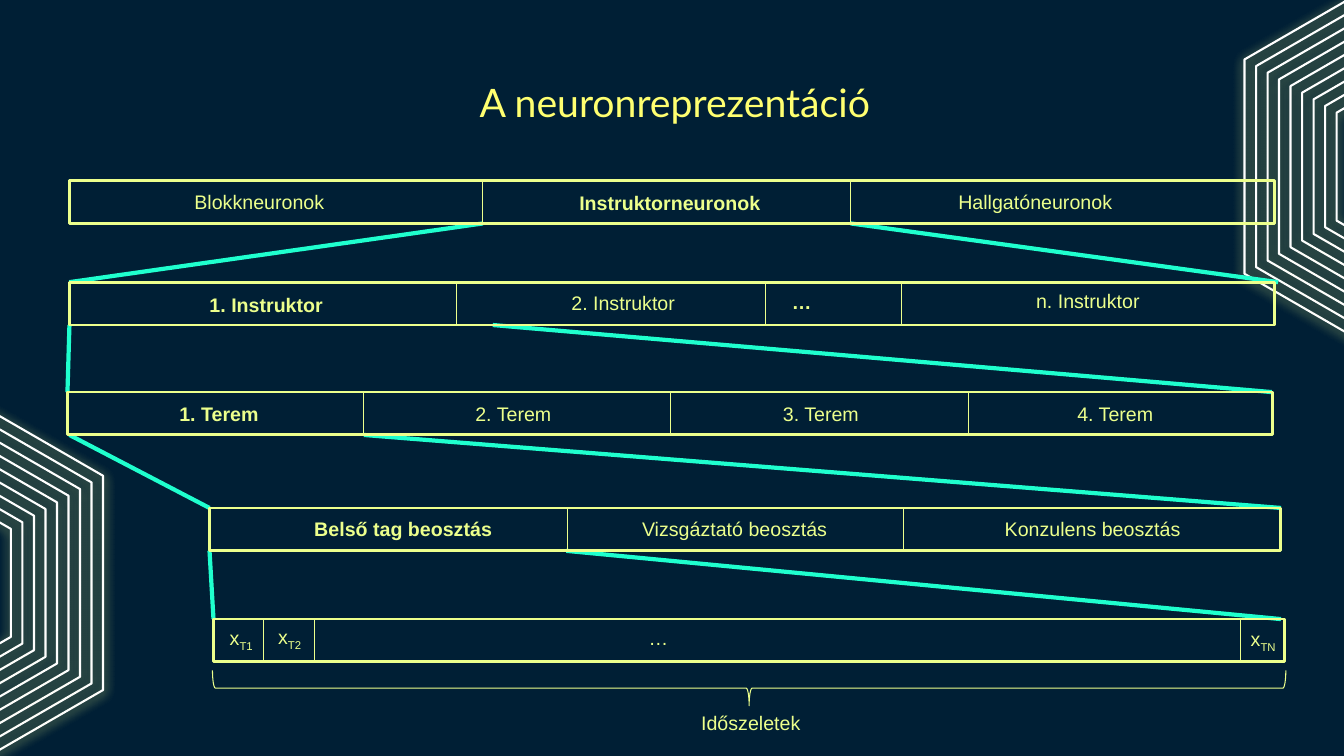
import math
from lxml import etree
from pptx import Presentation
from pptx import util as u
from pptx.dml.color import RGBColor
from pptx.enum import shapes, text
from pptx.oxml import ns

COLORS = {"night": "001F35", "lime": "ECFF8C", "title": "FFFF70", "cyan": "1FFFCE", "white": "FFFFFF"}
ROW_HEIGHT = 1.08


def rgb(name):
    return RGBColor.from_string(COLORS[name])


def outline(shape, color, weight):
    shape.shadow.inherit = False
    shape.fill.background()
    shape.line.color.rgb = rgb(color)
    shape.line.width = u.Pt(weight)


def add_line(page, start, end, color, weight):
    line = page.shapes.add_connector(shapes.MSO_CONNECTOR.STRAIGHT, *(u.Cm(v) for v in (*start, *end)))
    line.line.color.rgb = rgb(color)
    line.line.width = u.Pt(weight)
    etree.SubElement(line._element.spPr, ns.qn("a:effectLst"))


def add_glow(shape):
    effects = shape._element.spPr.find(ns.qn("a:effectLst"))
    glow = etree.SubElement(effects, ns.qn("a:outerShdw"), blurRad=str(u.Pt(7.9)),
                            dist=str(u.Pt(1.5)), dir="5400000", algn="t", rotWithShape="0")
    tint = etree.SubElement(glow, ns.qn("a:srgbClr"), val=COLORS["lime"])
    etree.SubElement(tint, ns.qn("a:alpha"), val="90000")


def add_hexagons(page, center_x, center_y, radius=5.4, step=0.335, count=9):
    for ring in range(count):
        size = radius - ring * step
        corners = [(u.Cm(center_x + size * math.sin(math.radians(angle))),
                    u.Cm(center_y - size * math.cos(math.radians(angle))))
                   for angle in range(0, 360, 60)]
        builder = page.shapes.build_freeform(*corners[0])
        builder.add_line_segments(corners[1:], close=True)
        hexagon = builder.convert_to_shape()
        outline(hexagon, "white", 1.5)
        add_glow(hexagon)


def add_span(para, words, size, font, color, bold=False):
    span = para.add_run()
    span.text = words
    span.font.size = u.Pt(size)
    span.font.name = font
    span.font.bold = bold
    span.font.color.rgb = rgb(color)
    return span


def add_title(page, left, top, width, height):
    box = page.shapes.add_textbox(*(u.Cm(v) for v in (left, top, width, height)))
    frame = box.text_frame
    frame.word_wrap = True
    frame.vertical_anchor = text.MSO_ANCHOR.MIDDLE
    frame.margin_left = frame.margin_right = frame.margin_top = frame.margin_bottom = u.Cm(0.25)
    para = frame.paragraphs[0]
    para.alignment = text.PP_ALIGN.CENTER
    add_span(para, "A neuronreprezentáció", 28, "Lato", "title")


def add_label(page, left, top, width, words, bold=False, subscript=""):
    box = page.shapes.add_textbox(u.Cm(left), u.Cm(top), u.Cm(width), u.Cm(0.86))
    box.text_frame.word_wrap = True
    box.text_frame.auto_size = text.MSO_AUTO_SIZE.SHAPE_TO_FIT_TEXT
    para = box.text_frame.paragraphs[0]
    add_span(para, words, 14, "Arial", "lime", bold)
    if subscript:
        span = add_span(para, subscript, 14, "Arial", "lime")
        span._r.get_or_add_rPr().set("baseline", "-25000")


def add_row(page, box, dividers, labels):
    left, top, width = box
    frame = page.shapes.add_shape(shapes.MSO_SHAPE.RECTANGLE, u.Cm(left), u.Cm(top),
                                  u.Cm(width), u.Cm(ROW_HEIGHT))
    outline(frame, "lime", 2)
    for offset in dividers:
        add_line(page, (left + offset, top), (left + offset, top + ROW_HEIGHT), "lime", 0.75)
    for across, down, label_width, *content in labels:
        add_label(page, left + across, top + down, label_width, *content)


def add_zoom(page, upper, lower, rays):
    for start, end in rays:
        add_line(page, (upper[0] + start, upper[1] + ROW_HEIGHT), (lower[0] + end, lower[1]), "cyan", 3)


def add_time_brace(page, box):
    left, top, width = box
    depth, length = 0.89, width + 0.05
    brace = page.shapes.add_shape(
        shapes.MSO_SHAPE.LEFT_BRACE, u.Cm(left + (width - depth) / 2),
        u.Cm(top + 1.74 - length / 2), u.Cm(depth), u.Cm(length))
    brace.rotation = 270
    outline(brace, "lime", 0.75)
    add_label(page, left + 12.04, top + 2.18, 5.77, "Időszeletek")


ROWS = [
    ((1.75, 4.55, 30.38), (10.42, 19.69), [
        (2.9, 0.1, 5.77, "Blokkneuronok"),
        (12.6, 0.13, 5.77, "Instruktorneuronok", True),
        (22.15, 0.1, 5.77, "Hallgatóneuronok")]),
    ((1.75, 7.11, 30.38), (9.76, 17.55, 20.96), [
        (3.28, 0.15, 5.77, "1. Instruktor", True),
        (12.4, 0.1, 5.77, "2. Instruktor"),
        (17.96, 0.08, 1.09, "…", True),
        (24.11, 0.05, 5.77, "n. Instruktor")]),
    ((1.7, 9.88, 30.38), (7.47, 15.19, 22.71), [
        (2.57, 0.13, 2.59, "1. Terem", True),
        (10.03, 0.13, 2.87, "2. Terem"),
        (17.78, 0.13, 2.95, "3. Terem"),
        (25.2, 0.13, 3.05, "4. Terem")]),
    ((5.28, 12.8, 27), (9.02, 17.48), [
        (2.39, 0.1, 5.51, "Belső tag beosztás", True),
        (10.65, 0.1, 5.51, "Vizsgáztató beosztás"),
        (19.79, 0.1, 5.51, "Konzulens beosztás")]),
    ((5.38, 15.6, 27), (1.27, 2.54, 25.89), [
        (0.16, 0.05, 1.17, "x", False, "T1"),
        (1.38, 0.03, 1.17, "x", False, "T2"),
        (10.72, 0.05, 5.51, "…"),
        (25.89, 0.08, 1.55, "x", False, "TN")]),
]
ZOOMS = [
    [(10.42, 0), (19.69, 30.46)],
    [(0, 0), (10.67, 30.35)],
    [(0.05, 0), (7.47, 27)],
    [(0, 0), (8.99, 26.9)],
]


def main():
    deck = Presentation()
    deck.slide_width, deck.slide_height = u.Cm(33.87), u.Cm(19.05)
    page = deck.slides.add_slide(deck.slide_layouts[6])
    page.background.fill.solid()
    page.background.fill.fore_color.rgb = rgb("night")
    add_hexagons(page, -2.08, 14.69)
    add_hexagons(page, 36.04, 4.2)
    add_title(page, 2.64, 2.01, 28.73, 1.09)
    boxes = [row[0] for row in ROWS]
    for upper, lower, rays in zip(boxes, boxes[1:], ZOOMS):
        add_zoom(page, upper, lower, rays)
    for row in ROWS:
        add_row(page, *row)
    add_time_brace(page, boxes[-1])
    deck.save("out.pptx")


if __name__ == "__main__":
    main()
